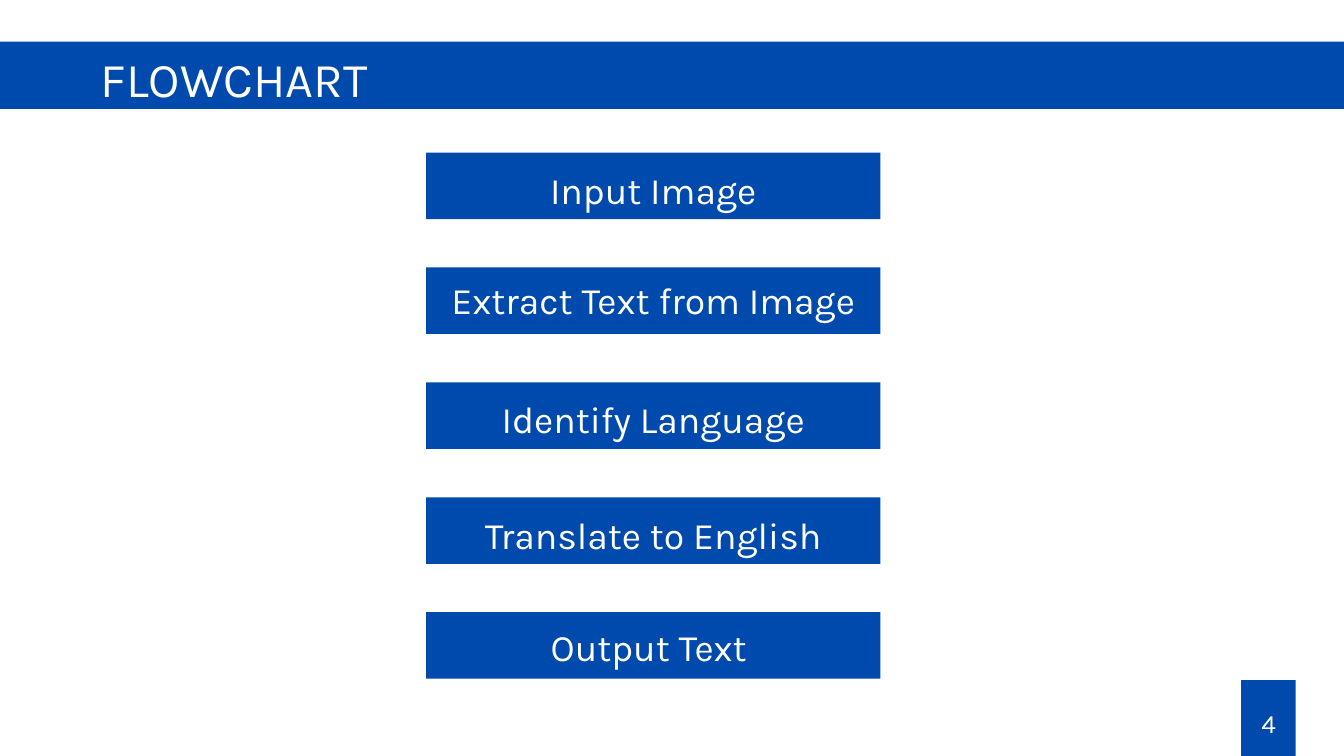
from dataclasses import dataclass
from typing import NamedTuple

from pptx import Presentation
from pptx.dml.color import RGBColor
from pptx.enum.shapes import MSO_SHAPE as Shape
from pptx.enum.text import MSO_ANCHOR as Anchor, MSO_AUTO_SIZE as AutoSize, PP_ALIGN as Align
from pptx.util import Inches, Pt

COLUMNS, ROWS = 20, 11.25  # grid of square one-inch cells
CELL = Inches(1)


@dataclass(frozen=True)
class Theme:
    font: str = "Karla"
    blue: RGBColor = RGBColor(0x00, 0x4A, 0xAD)
    white: RGBColor = RGBColor(0xFF, 0xFF, 0xFF)
    title_size: int = 52
    step_size: int = 40
    number_size: int = 28
    leading: float = 1.4


class Area(NamedTuple):
    """Place on the grid, in columns and rows."""
    left: float
    top: float
    width: float
    height: float

    def lengths(self) -> list[int]:
        return [round(CELL * value) for value in self]


class Step(NamedTuple):
    label: str
    label_width: float
    label_drop: float  # rows from the top of the bar to its label


THEME = Theme()
BAND = Area(-0.23, 0.62, 20.46, 1)
TITLE = Area(0, 0.59, COLUMNS, 0.97)
TITLE_INDENT = 1.5
FIRST_BAR = Area(6.34, 2.27, 6.76, 0.99)
BAR_PITCH = 1.71
LABEL_HEIGHT = 0.75
NUMBER_TAB = Area(18.47, 10.12, 0.81, ROWS - 10.12)
NUMBER = Area(18.76, 10.45, 0.24, 0.53)

STEPS = [
    Step("Input Image", 3.25, 0.11),
    Step("Extract Text from Image", 6.49, 0.03),
    Step("Identify Language", 4.87, 0.1),
    Step("Translate to English", 5.35, 0.11),
    Step("Output Text ", 3.38, 0.07),
]


def draw_bar(page, area: Area) -> None:
    bar = page.shapes.add_shape(Shape.RECTANGLE, *area.lengths())
    bar.shadow.inherit = False
    bar.fill.solid()
    bar.fill.fore_color.rgb = THEME.blue
    bar.line.fill.background()


def write(box, text: str, size: int, align: Align, indent: float = 0) -> None:
    frame = box.text_frame
    frame.text = text
    frame.word_wrap = True
    frame.auto_size = AutoSize.NONE
    frame.vertical_anchor = Anchor.TOP
    frame.margin_left = round(CELL * indent)
    frame.margin_top = frame.margin_right = frame.margin_bottom = 0
    para = frame.paragraphs[0]
    para.alignment = align
    para.line_spacing = Pt(size * THEME.leading)
    for span in para.runs:
        span.font.name = THEME.font
        span.font.size = Pt(size)
        span.font.color.rgb = THEME.white


def draw_label(page, area: Area, text: str, size: int) -> None:
    write(page.shapes.add_textbox(*area.lengths()), text, size, Align.CENTER)


def draw_title(page, text: str) -> None:
    draw_bar(page, BAND)
    title = page.shapes.title
    title.left, title.top, title.width, title.height = TITLE.lengths()
    write(title, text, THEME.title_size, Align.LEFT, TITLE_INDENT)
    title.element.getparent().append(title.element)  # in front of the band


def draw_steps(page) -> None:
    bars = [FIRST_BAR._replace(top=FIRST_BAR.top + index * BAR_PITCH)
            for index in range(len(STEPS))]
    for bar, step in zip(bars, STEPS):
        draw_bar(page, bar)
        label = Area(bar.left + (bar.width - step.label_width) / 2,
                     bar.top + step.label_drop, step.label_width, LABEL_HEIGHT)
        draw_label(page, label, step.label, THEME.step_size)


def main() -> None:
    deck = Presentation()
    deck.slide_width = CELL * COLUMNS
    deck.slide_height = round(CELL * ROWS)
    page = deck.slides.add_slide(deck.slide_layouts[5])
    page.background.fill.solid()
    page.background.fill.fore_color.rgb = THEME.white

    # Heading band
    draw_title(page, "FLOWCHART")

    # Flowchart
    draw_steps(page)

    # Page number
    draw_bar(page, NUMBER_TAB)
    draw_label(page, NUMBER, "4", THEME.number_size)

    deck.save("out.pptx")


if __name__ == "__main__":
    main()
